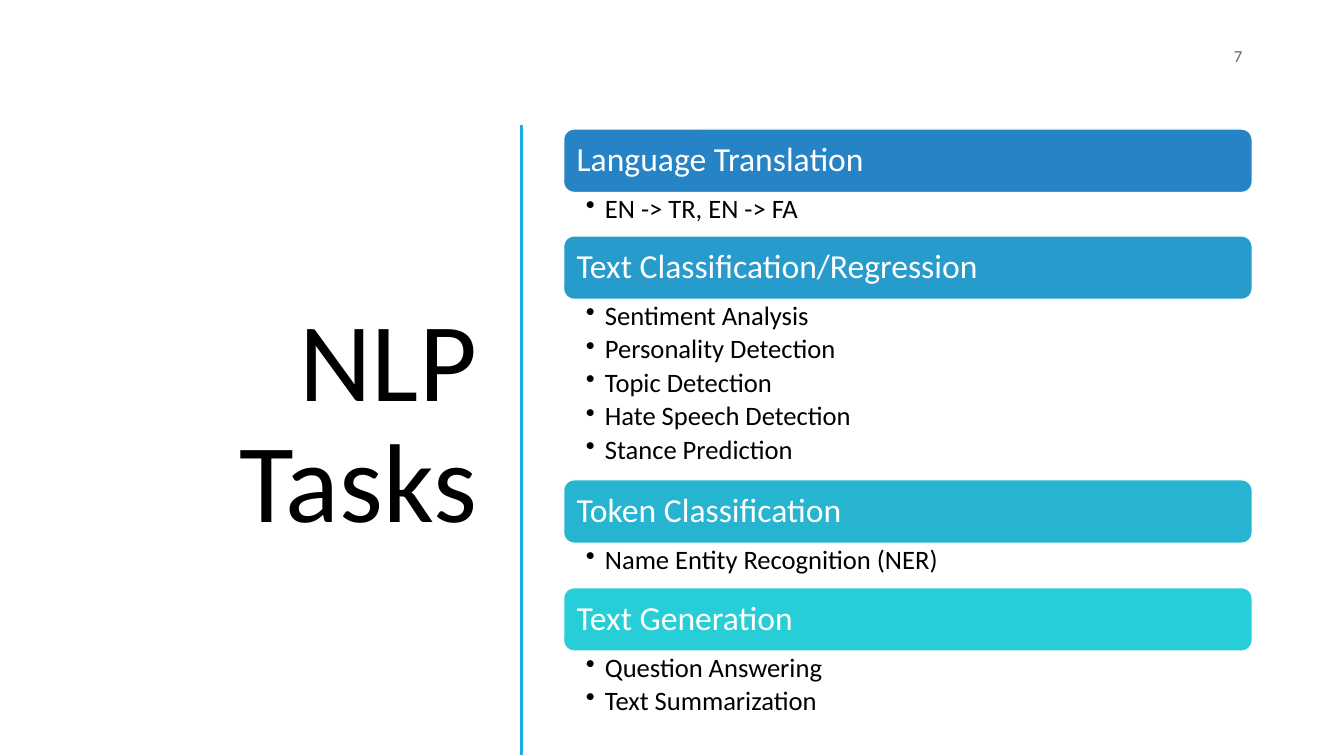
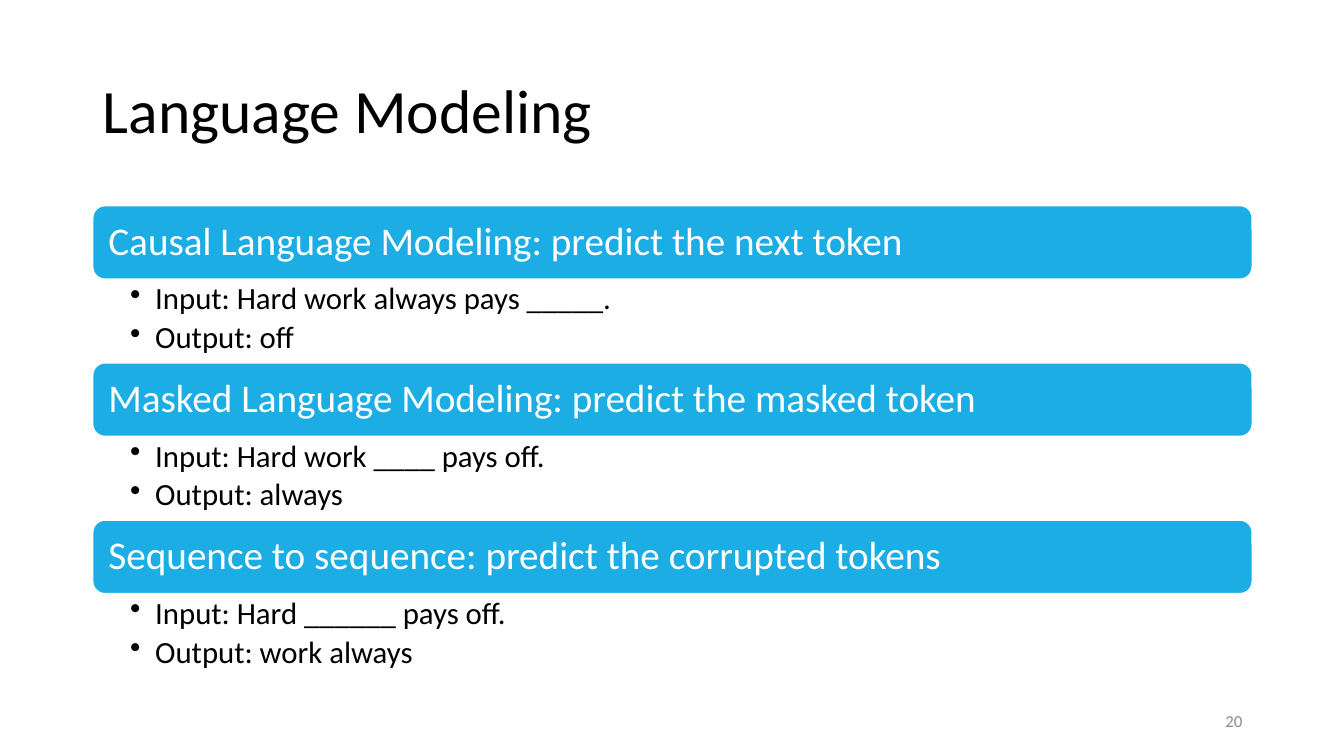
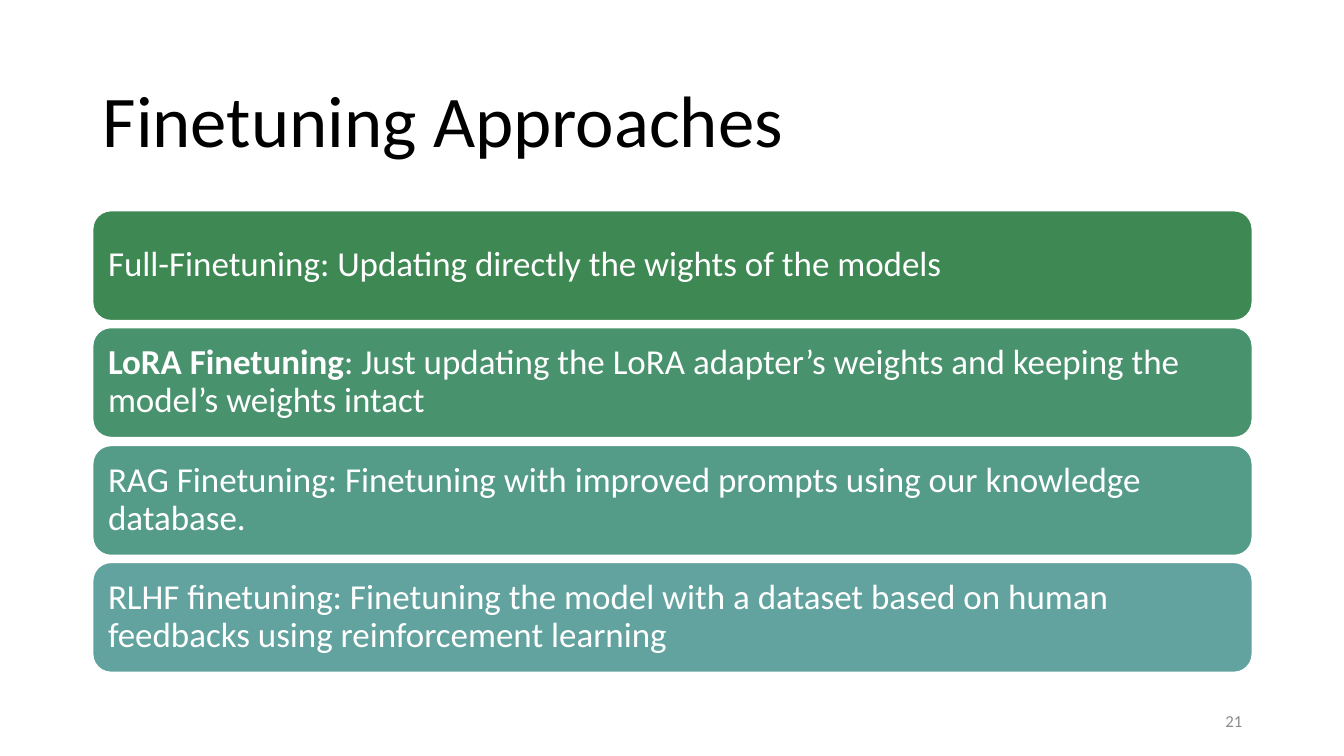
"""Build three slides on language tasks, language modeling and finetuning."""
from dataclasses import dataclass

from lxml.etree import SubElement
from pptx import Presentation
from pptx.dml.color import RGBColor
from pptx.enum.shapes import MSO_CONNECTOR, MSO_SHAPE
from pptx.enum.text import MSO_ANCHOR as Anchor, PP_ALIGN as Align
from pptx.oxml.ns import qn
from pptx.slide import Slide
from pptx.text.text import TextFrame
from pptx.util import Emu, Pt

PX = 9144
FONT = "Calibri"
BLACK = RGBColor(0x00, 0x00, 0x00)
WHITE = RGBColor(0xFF, 0xFF, 0xFF)
DARK_GRAY = RGBColor(0x66, 0x66, 0x66)
GRAY = RGBColor(0x8C, 0x8C, 0x8C)
SKY = RGBColor(0x1C, 0xAD, 0xE4)
BLUE = RGBColor(0x26, 0x83, 0xC6)
CERULEAN = RGBColor(0x26, 0x9B, 0xCC)
TEAL = RGBColor(0x27, 0xB4, 0xD1)
TURQUOISE = RGBColor(0x27, 0xCE, 0xD7)
GREEN = RGBColor(0x3E, 0x88, 0x53)
SEA_GREEN = RGBColor(0x49, 0x92, 0x6E)
JADE = RGBColor(0x54, 0x9C, 0x88)
DUSTY_TEAL = RGBColor(0x62, 0xA3, 0x9F)


@dataclass(frozen=True)
class Area:
    left: int
    top: int
    width: int
    height: int

    def emu(self) -> tuple[Emu, ...]:
        return tuple(Emu(n * PX) for n in (self.left, self.top, self.width, self.height))


@dataclass(frozen=True)
class Section:
    fill: RGBColor
    heading: str
    below: int
    bullets: tuple[str, ...] = ()
    lead: str = ""


@dataclass(frozen=True)
class StackStyle:
    left: int
    top: int
    width: int
    bar_height: int
    bar_inset: int
    heading_size: int
    bullet_size: int = 0
    list_insets: tuple[int, int, int, int] = (0, 0, 0, 0)
    indent: int = 0


@dataclass(frozen=True)
class Topic:
    title: str
    title_area: Area
    title_size: int
    title_align: Align
    number: str
    number_top: int
    number_color: RGBColor
    style: StackStyle
    sections: tuple[Section, ...]


TASK_STACK = StackStyle(559, 128, 683, 63, 10, 24, 19, (22, 3, 19, 3), 19)
MODEL_STACK = StackStyle(92, 204, 1150, 73, 12, 28, 22, (37, 4, 22, 4), 25)
APPROACH_STACK = StackStyle(92, 209, 1150, 109, 10, 25)

TOPICS = (
    Topic("NLP Tasks", Area(52, 117, 431, 611), 80, Align.RIGHT, "7", 35, DARK_GRAY, TASK_STACK, (
        Section(BLUE, "Language Translation", 43, ("EN -> TR, EN -> FA",)),
        Section(CERULEAN, "Text Classification/Regression", 179, (
            "Sentiment Analysis", "Personality Detection", "Topic Detection",
            "Hate Speech Detection", "Stance Prediction")),
        Section(TEAL, "Token Classification", 44, ("Name Entity Recognition (NER)",)),
        Section(TURQUOISE, "Text Generation", 72, ("Question Answering", "Text Summarization")),
    )),
    Topic("Language Modeling", Area(92, 40, 1150, 145), 44, Align.LEFT, "20", 695, GRAY, MODEL_STACK, (
        Section(SKY, "Causal Language Modeling: predict the next token", 83,
                ("Input: Hard work always pays _____.", "Output: off")),
        Section(SKY, "Masked Language Modeling: predict the masked token", 83,
                ("Input: Hard work ____ pays off.", "Output: always")),
        Section(SKY, "Sequence to sequence: predict the corrupted tokens", 83,
                ("Input: Hard ______ pays off.", "Output: work always")),
    )),
    Topic("Finetuning Approaches", Area(92, 61, 1150, 124), 52, Align.LEFT, "21", 695, GRAY, APPROACH_STACK, (
        Section(GREEN, "Full-Finetuning: Updating directly the wights of the models", 7),
        Section(SEA_GREEN, ": Just updating the LoRA adapter’s weights and keeping the model’s weights intact",
                8, lead="LoRA Finetuning"),
        Section(JADE, "RAG Finetuning: Finetuning with improved prompts using our knowledge database.", 7),
        Section(DUSTY_TEAL, "RLHF finetuning: Finetuning the model with a dataset based on human "
                "feedbacks using reinforcement learning", 7),
    )),
)


def set_frame(frame: TextFrame, insets: tuple[int, int, int, int], anchor: Anchor) -> None:
    """Set wrapping, margins and vertical position of a text frame."""
    frame.word_wrap = True
    frame.vertical_anchor = anchor
    left, top, right, bottom = (Emu(n * PX) for n in insets)
    frame.margin_left, frame.margin_top = left, top
    frame.margin_right, frame.margin_bottom = right, bottom


def add_span(para, text: str, size: int, color: RGBColor, bold: bool = False) -> None:
    """Add one formatted run to a paragraph."""
    span = para.add_run()
    span.text = text
    span.font.name = FONT
    span.font.size = Pt(size)
    span.font.bold = bold
    span.font.color.rgb = color


def add_label(page: Slide, area: Area, text: str, size: int, color: RGBColor,
              align: Align, spacing: float) -> None:
    """Add a one-paragraph text box, centred vertically."""
    frame = page.shapes.add_textbox(*area.emu()).text_frame
    set_frame(frame, (10, 5, 10, 5), Anchor.MIDDLE)
    para = frame.paragraphs[0]
    para.alignment = align
    para.line_spacing = spacing
    add_span(para, text, size, color)


def add_bar(page: Slide, area: Area, section: Section, style: StackStyle) -> None:
    """Add a rounded heading bar."""
    bar = page.shapes.add_shape(MSO_SHAPE.ROUNDED_RECTANGLE, *area.emu())
    bar.shadow.inherit = False
    bar.fill.solid()
    bar.fill.fore_color.rgb = section.fill
    bar.line.color.rgb = WHITE
    bar.line.width = Pt(1)
    set_frame(bar.text_frame, (style.bar_inset,) * 4, Anchor.MIDDLE)
    para = bar.text_frame.paragraphs[0]
    para.alignment = Align.LEFT
    para.line_spacing = 0.9
    if section.lead:
        add_span(para, section.lead, style.heading_size, WHITE, True)
    add_span(para, section.heading, style.heading_size, WHITE)


def add_bullets(page: Slide, area: Area, bullets: tuple[str, ...], style: StackStyle) -> None:
    """Add the bulleted list below a bar."""
    frame = page.shapes.add_textbox(*area.emu()).text_frame
    set_frame(frame, style.list_insets, Anchor.TOP)
    for index, text in enumerate(bullets):
        para = frame.add_paragraph() if index else frame.paragraphs[0]
        props = para._p.get_or_add_pPr()
        props.set("marL", str(style.indent * PX))
        props.set("indent", str(-style.indent * PX))
        SubElement(props, qn("a:buChar"), char="•")
        para.line_spacing = 0.9
        para.space_after = Pt(style.bullet_size * 0.18)
        add_span(para, text, style.bullet_size, BLACK)


def add_stack(page: Slide, style: StackStyle, sections: tuple[Section, ...]) -> None:
    """Stack the bars and their lists from the top down."""
    top = style.top
    for section in sections:
        add_bar(page, Area(style.left, top, style.width, style.bar_height), section, style)
        top += style.bar_height
        if section.bullets:
            add_bullets(page, Area(style.left, top, style.width, section.below), section.bullets, style)
        top += section.below


def add_divider(page: Slide, x: int, top: int, bottom: int) -> None:
    """Add the vertical line beside the title."""
    divider = page.shapes.add_connector(
        MSO_CONNECTOR.STRAIGHT, *(Emu(n * PX) for n in (x, top, x, bottom)))
    divider.line.color.rgb = SKY
    divider.line.width = Pt(2)
    SubElement(divider._element.spPr, qn("a:effectLst"))


def add_topic(deck, topic: Topic) -> Slide:
    """Add one slide with its title, number and stack."""
    page = deck.slides.add_slide(deck.slide_layouts[6])
    add_label(page, topic.title_area, topic.title, topic.title_size, BLACK, topic.title_align, 0.9)
    add_label(page, Area(942, topic.number_top, 300, 40), topic.number, 12,
              topic.number_color, Align.RIGHT, 1.0)
    add_stack(page, topic.style, topic.sections)
    return page


def main() -> None:
    """Build and save the deck."""
    deck = Presentation()
    deck.slide_width, deck.slide_height = Emu(1333 * PX), Emu(750 * PX)
    pages = [add_topic(deck, topic) for topic in TOPICS]
    add_divider(pages[0], 517, 124, 749)
    deck.save("out.pptx")


if __name__ == "__main__":
    main()
